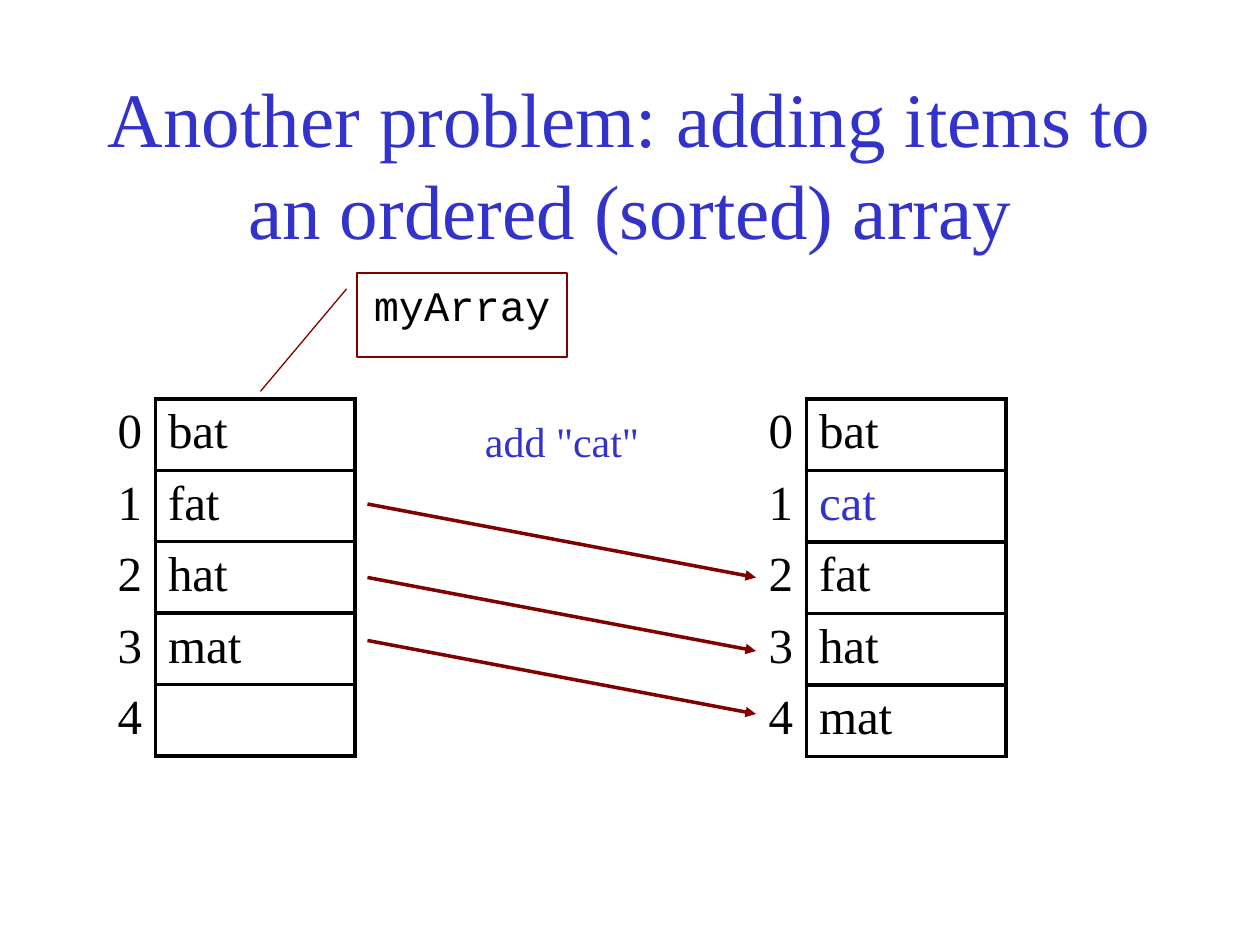
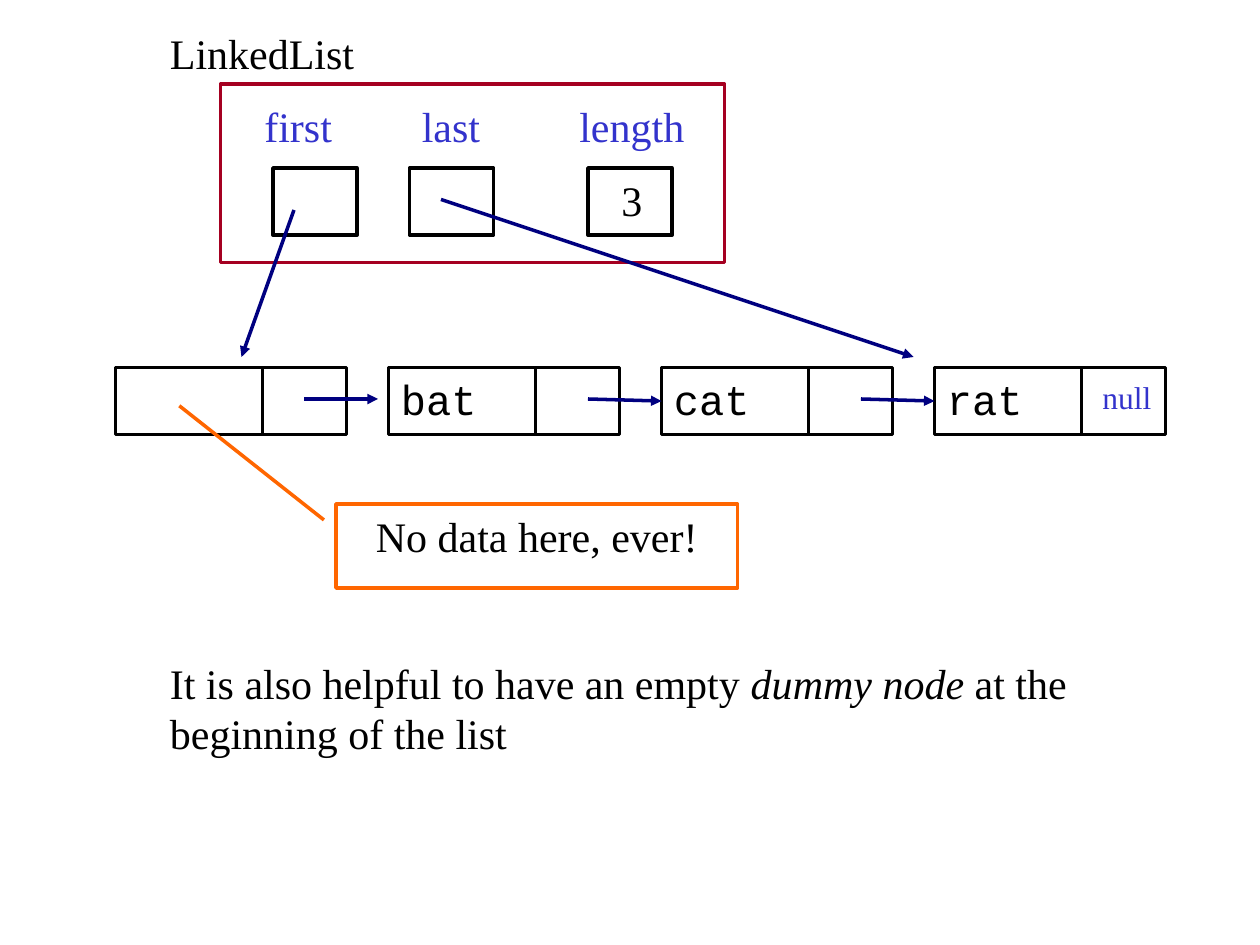
from lxml.etree import SubElement
from pptx import Presentation
from pptx.dml.color import RGBColor
from pptx.enum.shapes import MSO_CONNECTOR as CONN, MSO_SHAPE as SHAPE
from pptx.enum.text import MSO_ANCHOR as ANCHOR, MSO_AUTO_SIZE as FIT, PP_ALIGN as ALIGN
from pptx.oxml.ns import qn
from pptx.util import Inches, Pt

BLACK, WHITE, BLUE = "000000", "FFFFFF", "3333CC"
MAROON, CRIMSON, NAVY, ORANGE = "800000", "A50021", "000080", "FF6600"
SERIF, MONO = "Times New Roman", "Courier New"
COLS = 120


def rgb(color):
    return RGBColor.from_string(color)


class Deck:
    def __init__(self):
        self.prs = Presentation()
        self.prs.slide_width, self.prs.slide_height = Inches(10), Inches(7.5)
        self.unit = self.prs.slide_width / COLS
        self.s = None

    def grid(self, *cells):
        return [round(c * self.unit) for c in cells]

    def slide(self, title=None):
        layouts = self.prs.slide_layouts
        self.s = self.prs.slides.add_slide(layouts[5 if title else 6])
        if title:
            sp = self.s.shapes.title
            sp.left, sp.top, sp.width, sp.height = self.grid(9, 8, 102, 15)
            tf = sp.text_frame
            tf.word_wrap, tf.auto_size = True, FIT.NONE
            tf.vertical_anchor = ANCHOR.MIDDLE
            self.add_runs(tf, title, 44, BLUE, align=ALIGN.CENTER)

    def add_runs(self, tf, text, size=24, color=BLACK, font=SERIF, align=ALIGN.LEFT):
        p = tf.paragraphs[0]
        p.alignment = align
        parts = [(text, False)] if isinstance(text, str) else text
        for part, italic in parts:
            r = p.add_run()
            r.text = part
            r.font.size, r.font.name, r.font.italic = Pt(size), font, italic
            r.font.color.rgb = rgb(color)

    def text(self, text, x, y, w, h, size=24, color=BLACK, inset=None):
        tf = self.s.shapes.add_textbox(*self.grid(x, y, w, h)).text_frame
        tf.word_wrap = True
        if inset is not None:
            tf.margin_left = tf.margin_right = tf.margin_top = tf.margin_bottom = inset
        self.add_runs(tf, text, size, color)

    def box(self, x, y, w, h, text="", color=BLACK, width=2, font=SERIF,
            align=ALIGN.LEFT, kind=SHAPE.RECTANGLE, group=None):
        shapes = (group or self.s).shapes
        sp = shapes.add_shape(kind, *self.grid(x, y, w, h))
        sp.shadow.inherit = False
        sp.fill.background()
        sp.line.color.rgb, sp.line.width = rgb(color), Pt(width)
        if text:
            tf = sp.text_frame
            tf.word_wrap, tf.vertical_anchor = True, ANCHOR.TOP
            self.add_runs(tf, text, font=font, align=align)
        return sp

    def callout(self, text, x, y, w, h, pointer, color, width, font=SERIF):
        sp = self.box(x, y, w, h, text, color, width, font, ALIGN.CENTER,
                      SHAPE.LINE_CALLOUT_1)
        for i, value in enumerate(pointer):
            sp.adjustments[i] = value

    def arrow(self, x1, y1, x2, y2, color, target=None):
        c = self.s.shapes.add_connector(CONN.STRAIGHT, *self.grid(x1, y1, x2, y2))
        c.line.color.rgb, c.line.width = rgb(color), Pt(2)
        SubElement(c.line._get_or_add_ln(), qn("a:tailEnd"), type="triangle")
        SubElement(c._element.spPr, qn("a:effectLst"))
        if target is not None:
            c.end_connect(target, 1)

    def border(self, cell, colors):
        tcPr = cell._tc.get_or_add_tcPr()
        for i, (side, color) in enumerate(zip("LRTB", colors)):
            width = Pt(1) if color == WHITE else Pt(2.25)
            ln = SubElement(tcPr, qn(f"a:ln{side}"), w=str(width))
            SubElement(SubElement(ln, qn("a:solidFill")), qn("a:srgbClr"), val=color)
            tcPr.insert(i, ln)

    def array(self, x, y, items, highlight=None):
        widths, row = (4.8, 19), 6.8
        frame = self.s.shapes.add_table(
            len(items), 2, *self.grid(x, y, sum(widths), row * len(items)))
        table = frame.table
        table.first_row = table.horz_banding = False
        for col, width in zip(table.columns, self.grid(*widths)):
            col.width = width
        for i, item in enumerate(items):
            table.rows[i].height = self.grid(row)[0]
            for j, value in enumerate((str(i), item)):
                cell = table.cell(i, j)
                cell.fill.background()
                color = BLUE if value == highlight else BLACK
                if value:
                    self.add_runs(cell.text_frame, value, 28, color)
                edge = BLACK if j else WHITE
                self.border(cell, (edge, BLACK, edge, edge))

    def node(self, x, y, text):
        group = self.s.shapes.add_group_shape()
        data = self.box(x, y, 14, 6.4, text, font=MONO, group=group)
        self.box(x + 14, y, 8, 6.4, group=group)
        return data


def sorted_array(deck):
    deck.slide("Another problem: adding items to an ordered (sorted) array")
    deck.array(10, 38, ["bat", "fat", "hat", "mat", ""])
    deck.callout("myArray", 34, 26, 20, 8, (0.19, -0.05, 1.41, -0.46),
                 MAROON, 0.75, MONO)
    deck.text('add "cat"', 45, 39, 20, 6, color=BLUE)
    deck.array(72, 38, ["bat", "cat", "fat", "hat", "mat"], highlight="cat")
    for start in (48, 55, 61):
        deck.arrow(35, start, 72, start + 7, MAROON)


def linked_list(deck):
    deck.slide()
    deck.text("LinkedList", 15, 2, 21, 6)
    deck.box(21, 8, 48, 17, color=CRIMSON)
    fields = [("first", 24, 11, 26), ("last", 39, 11, 39), ("length", 54, 13, 56)]
    for label, x, w, box_x in fields:
        deck.text(label, x, 9, w, 6, color=BLUE)
        deck.box(box_x, 16, 8, 6.4)
    deck.text("3", 58, 16, 5, 6)

    left, top, pitch = 11, 35, 26
    nodes = [deck.node(left + i * pitch, top, data)
             for i, data in enumerate(["", "bat", "cat", "rat"])]
    deck.text("null", 105, 36, 7, 3.6, 18, BLUE, inset=0)

    deck.arrow(28, 20, 23, 34, NAVY)
    deck.arrow(42, 19, 87, 34, NAVY)
    deck.arrow(29, 38, 36, 38, NAVY)
    for x, target in zip((56, 82), nodes[2:]):
        deck.arrow(x, 38, x + 7, 38, NAVY, target)

    deck.callout("No data here, ever!", 32, 48, 38.25, 8,
                 (0.19, -0.03, -1.17, -0.39), ORANGE, 2)
    deck.text([("It is also helpful to have an empty ", False),
               ("dummy node", True),
               (" at the beginning of the list", False)], 15, 62, 89.75, 10.8)


def main():
    deck = Deck()
    sorted_array(deck)
    linked_list(deck)
    deck.prs.save("out.pptx")


if __name__ == "__main__":
    main()
